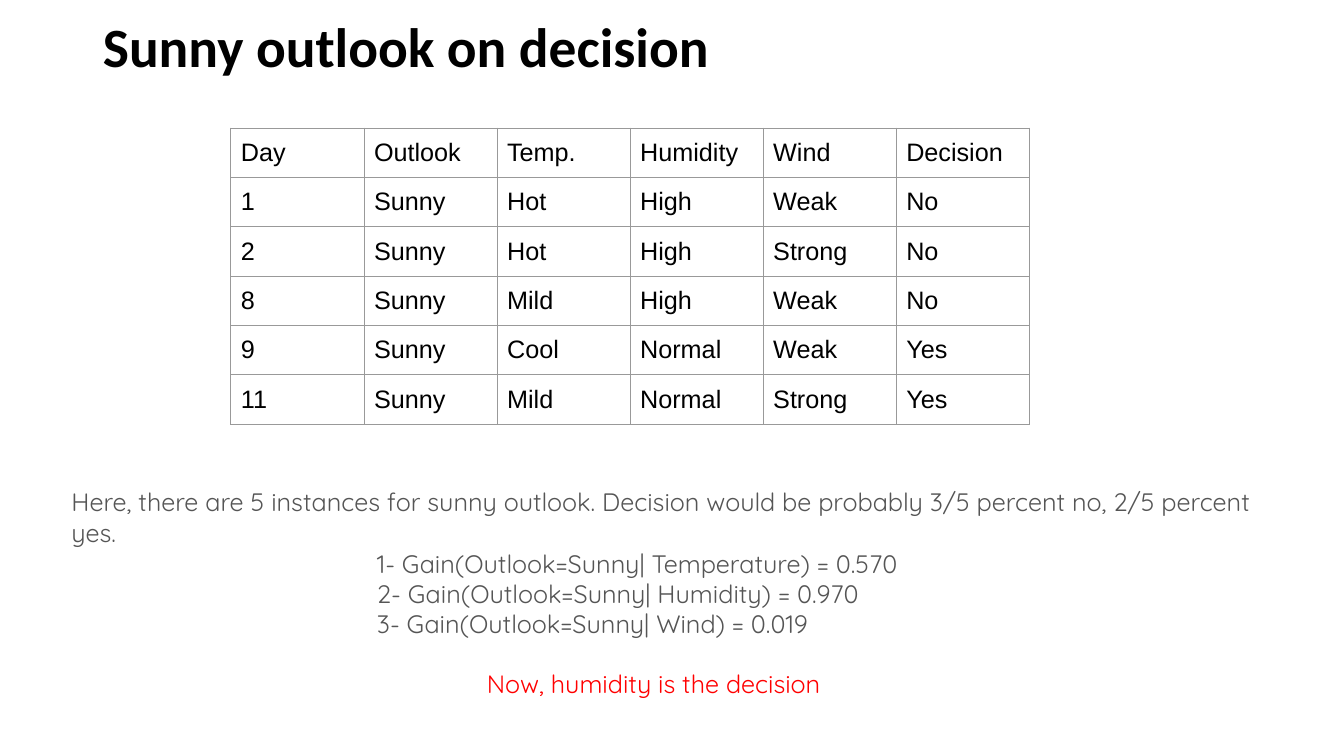
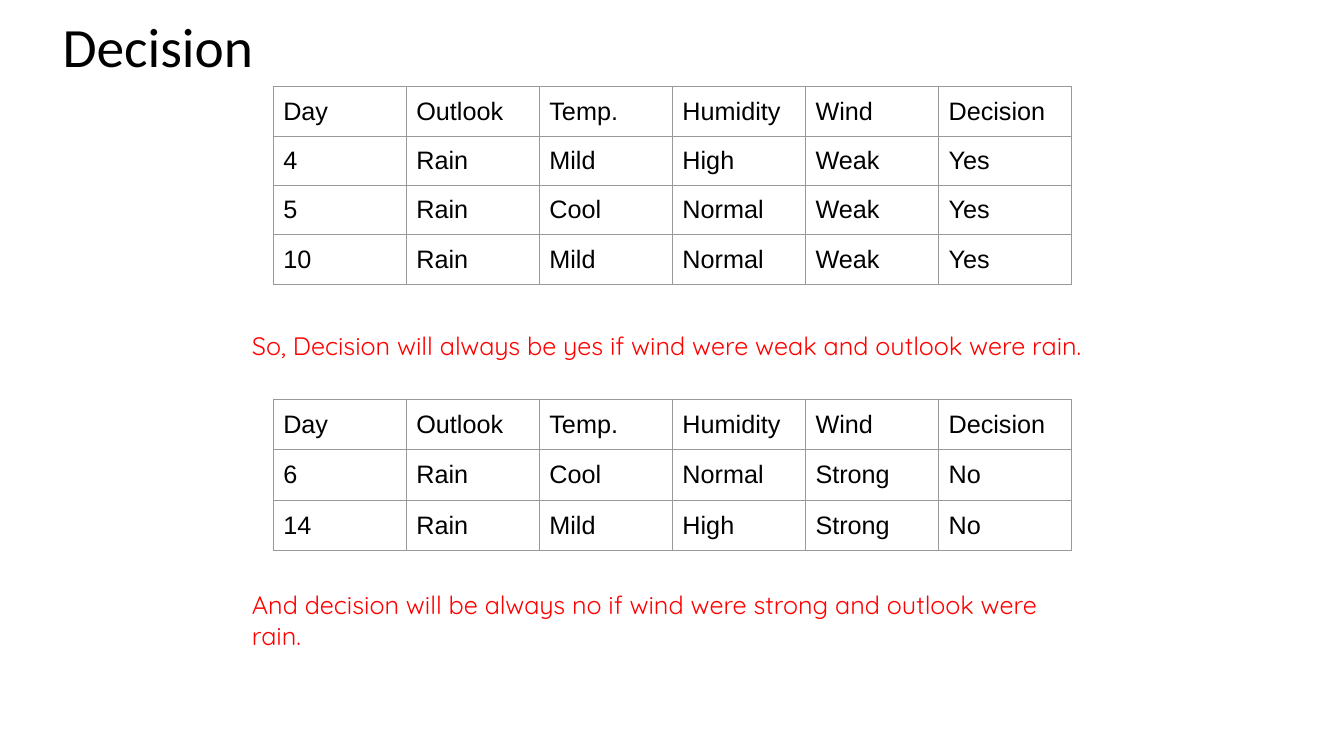
from dataclasses import dataclass

from lxml import etree
from pptx import Presentation
from pptx.dml.color import RGBColor
from pptx.enum.text import MSO_ANCHOR, MSO_AUTO_SIZE, PP_ALIGN
from pptx.oxml.ns import qn
from pptx.util import Inches, Pt

LEFT = PP_ALIGN.LEFT
TOP = MSO_ANCHOR.TOP
MIDDLE = MSO_ANCHOR.MIDDLE
NO_AUTOFIT = MSO_AUTO_SIZE.NONE
TITLE_ONLY = 5


@dataclass(frozen=True)
class Theme:
    background: str = "FFFFFF"
    ink: str = "000000"
    body: str = "555555"
    accent: str = "FF0000"
    border: str = "999999"
    title_font: str = "Calibri"
    table_font: str = "Arial"
    body_font: str = "Quicksand"
    title_size: float = 39.6
    text_size: float = 18
    border_width: float = 0.75
    column_width: float = 1.32
    row_height: float = 0.49
    cell_margin: float = 0.1


THEME = Theme()
HEADER = ("Day", "Outlook", "Temp.", "Humidity", "Wind", "Decision")
SUNNY_DAYS = (
    ("1", "Sunny", "Hot", "High", "Weak", "No"),
    ("2", "Sunny", "Hot", "High", "Strong", "No"),
    ("8", "Sunny", "Mild", "High", "Weak", "No"),
    ("9", "Sunny", "Cool", "Normal", "Weak", "Yes"),
    ("11", "Sunny", "Mild", "Normal", "Strong", "Yes"),
)
WEAK_WIND_DAYS = (
    ("4", "Rain", "Mild", "High", "Weak", "Yes"),
    ("5", "Rain", "Cool", "Normal", "Weak", "Yes"),
    ("10", "Rain", "Mild", "Normal", "Weak", "Yes"),
)
STRONG_WIND_DAYS = (
    ("6", "Rain", "Cool", "Normal", "Strong", "No"),
    ("14", "Rain", "Mild", "High", "Strong", "No"),
)
GAINS = (
    "1- Gain(Outlook=Sunny| Temperature) = 0.570",
    "2- Gain(Outlook=Sunny| Humidity) = 0.970",
    "3- Gain(Outlook=Sunny| Wind) = 0.019",
)


def write_paragraph(paragraph, text, font=THEME.body_font, size=THEME.text_size,
                    color=THEME.body, bold=False, indent=0, space_before=0):
    paragraph.alignment = LEFT
    if indent:
        paragraph._p.get_or_add_pPr().set("marL", str(Inches(indent)))
    if space_before:
        paragraph.space_before = Pt(space_before)
    run = paragraph.add_run()
    run.text = text
    run.font.name = font
    run.font.size = Pt(size)
    run.font.bold = bold
    run.font.color.rgb = RGBColor.from_string(color)


def add_titled_slide(presentation, title, left, bold=False):
    slide = presentation.slides.add_slide(presentation.slide_layouts[TITLE_ONLY])
    slide.background.fill.solid()
    slide.background.fill.fore_color.rgb = RGBColor.from_string(THEME.background)
    shape = slide.shapes.title
    shape.left, shape.top = Inches(left), Inches(0.12)
    shape.width, shape.height = Inches(11.5), Inches(0.74)
    frame = shape.text_frame
    frame.auto_size = NO_AUTOFIT
    frame.vertical_anchor = MIDDLE
    paragraph = frame.paragraphs[0]
    paragraph.line_spacing = 0.9
    write_paragraph(paragraph, title, font=THEME.title_font,
                    size=THEME.title_size, color=THEME.ink, bold=bold)
    return slide


def add_text(slide, left, top, width, height):
    """Add an empty wrapping text box and return its text frame."""
    shape = slide.shapes.add_textbox(Inches(left), Inches(top),
                                     Inches(width), Inches(height))
    frame = shape.text_frame
    frame.word_wrap = True
    frame.vertical_anchor = TOP
    return frame


def add_note(slide, text, left, top, width, color=THEME.body):
    frame = add_text(slide, left, top, width, 0.4)
    write_paragraph(frame.paragraphs[0], text, color=color)


def set_borders(cell):
    properties = cell._tc.get_or_add_tcPr()
    for edge in ("a:lnL", "a:lnR", "a:lnT", "a:lnB"):
        line = etree.SubElement(properties, qn(edge), w=str(Pt(THEME.border_width)))
        fill = etree.SubElement(line, qn("a:solidFill"))
        etree.SubElement(fill, qn("a:srgbClr"), val=THEME.border)


def format_cell(cell, text):
    set_borders(cell)
    cell.fill.solid()
    cell.fill.fore_color.rgb = RGBColor.from_string(THEME.background)
    cell.vertical_anchor = MIDDLE
    margin = Inches(THEME.cell_margin)
    cell.margin_left = cell.margin_right = margin
    cell.margin_top = cell.margin_bottom = margin
    write_paragraph(cell.text_frame.paragraphs[0], text,
                    font=THEME.table_font, color=THEME.ink)


def add_day_table(slide, days, left, top):
    rows = (HEADER, *days)
    table = slide.shapes.add_table(
        len(rows), len(HEADER), Inches(left), Inches(top),
        Inches(THEME.column_width * len(HEADER)),
        Inches(THEME.row_height * len(rows))).table
    table.first_row = table.horz_banding = False
    for row_index, row in enumerate(rows):
        for column_index, text in enumerate(row):
            format_cell(table.cell(row_index, column_index), text)


def add_sunny_slide(presentation):
    slide = add_titled_slide(presentation, "Sunny outlook on decision", 0.92, bold=True)
    add_day_table(slide, SUNNY_DAYS, 2.29, 1.27)
    add_note(slide, "Here, there are 5 instances for sunny outlook. Decision would be "
             "probably 3/5 percent no, 2/5 percent yes.", 0.61, 4.78, 12.11)
    frame = add_text(slide, 3.64, 5.39, 6.67, 1.62)
    for index, gain in enumerate(GAINS):
        paragraph = frame.add_paragraph() if index else frame.paragraphs[0]
        write_paragraph(paragraph, gain)
    write_paragraph(frame.add_paragraph(), "Now, humidity is the decision",
                    color=THEME.accent, indent=1.09, space_before=21)


def add_rain_slide(presentation):
    slide = add_titled_slide(presentation, "Decision", 0.52)
    add_day_table(slide, WEAK_WIND_DAYS, 2.71, 0.86)
    add_note(slide, "So, Decision will always be yes if wind were weak and outlook "
             "were rain.", 2.4, 3.23, 8.72, color=THEME.accent)
    add_day_table(slide, STRONG_WIND_DAYS, 2.71, 3.96)
    add_note(slide, "And decision will be always no if wind were strong and outlook "
             "were rain.", 2.4, 5.8, 8.41, color=THEME.accent)


def main():
    presentation = Presentation()
    presentation.slide_width = Inches(13.33)
    presentation.slide_height = Inches(7.5)
    add_sunny_slide(presentation)
    add_rain_slide(presentation)
    presentation.save("out.pptx")


if __name__ == "__main__":
    main()
